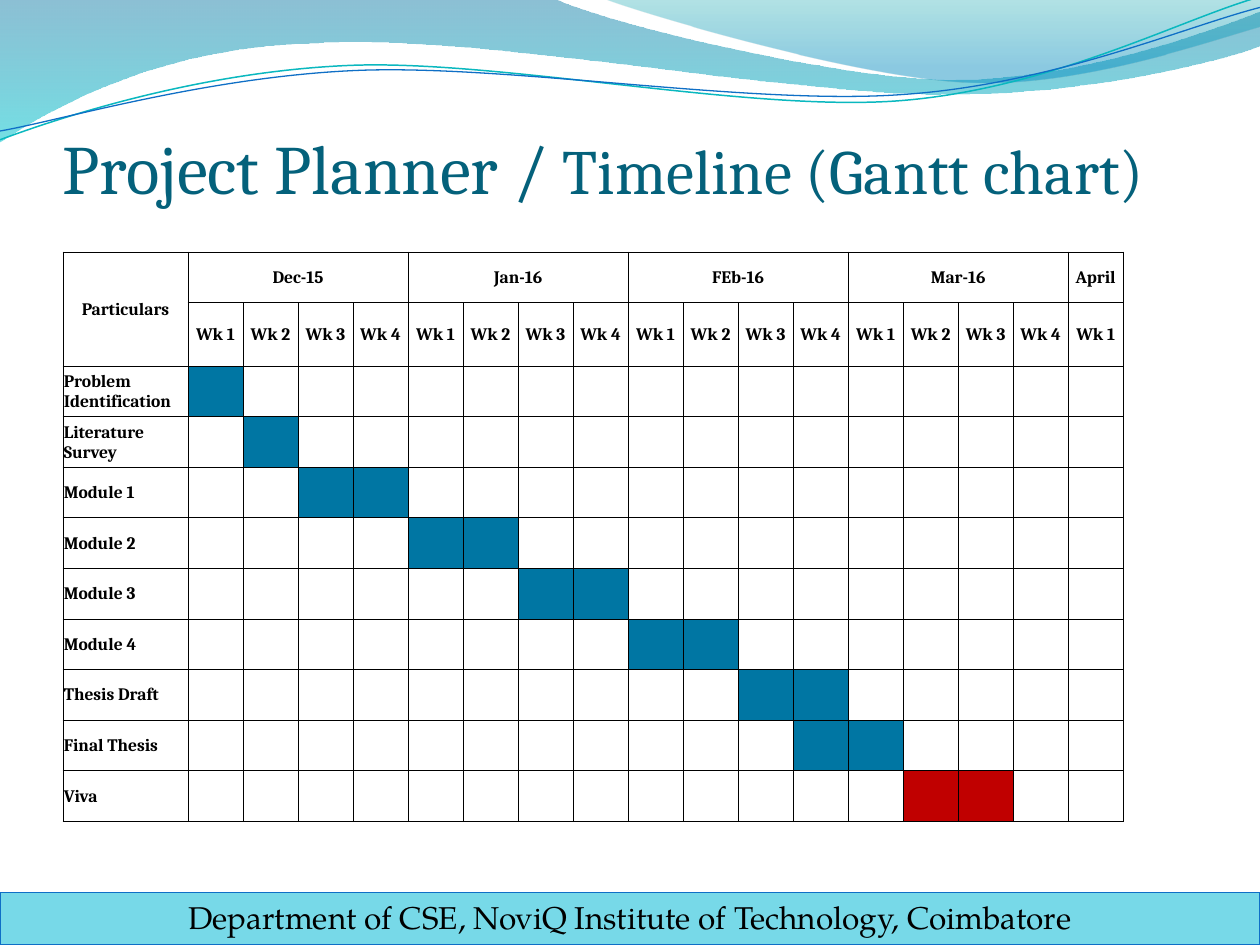
import math
import pptx
import pptx.util
import pptx.dml.color
import pptx.enum.shapes
import pptx.enum.text
import pptx.oxml
import pptx.oxml.ns
from dataclasses import dataclass

Pt = pptx.util.Pt
qn = pptx.oxml.ns.qn
NS = pptx.oxml.ns.nsdecls("a")
Align = pptx.enum.text.PP_ALIGN
Anchor = pptx.enum.text.MSO_ANCHOR


@dataclass(frozen=True)
class Theme:
    heading: str = "Cambria"
    body: str = "TeX Gyre Pagella"
    title: str = "04617B"
    ink: str = "000000"
    blue: str = "0F6FC6"
    teal: str = "0AB8BF"
    band: str = "77D9E8"
    task: str = "0076A3"
    viva: str = "C00000"
    title_size: float = 39.6
    subtitle_size: float = 36
    footer_size: float = 18
    cell_size: float = 10


T = Theme()


def rgb(value):
    return pptx.dml.color.RGBColor.from_string(value)


def write(tf, *texts, sizes, font, color, bold=False, align=Align.LEFT,
          anchor=Anchor.MIDDLE, margins=(0, 0, 0, 0)):
    """Write one paragraph with a run for each text and size."""
    tf.word_wrap = True
    tf.vertical_anchor = anchor
    tf.margin_left, tf.margin_top, tf.margin_right, tf.margin_bottom = map(Pt, margins)
    p = tf.paragraphs[0]
    p.alignment = align
    for text, size in zip(texts, sizes):
        r = p.add_run()
        r.text = text
        r.font.name, r.font.size, r.font.bold = font, Pt(size), bold
        r.font.color.rgb = rgb(color)


# Waves
def turn(x, y, degrees):
    """Turn a point clockwise about the origin."""
    a = math.radians(degrees)
    return x * math.cos(a) - y * math.sin(a), x * math.sin(a) + y * math.cos(a)


def add_curve(s, left, top, start, segments, close=False, tilt=0):
    """Draw lines (2 numbers) and Bezier curves (6 numbers), tilted by degrees."""
    def place(x, y):
        return tuple(Pt(v) for v in turn(left + x, top + y, -tilt))

    builder = s.shapes.build_freeform(*place(*start))
    builder.add_line_segments([place(*seg[-2:]) for seg in segments], close=close)
    sp = builder.convert_to_shape()
    x0, y0 = sp.left, sp.top
    lines = list(sp._element.iter(qn("a:lnTo")))
    for line, seg in zip(lines, segments):
        if len(seg) == 6:
            pts = "".join(f'<a:pt x="{x - x0}" y="{y - y0}"/>'
                          for x, y in (place(*seg[i:i + 2]) for i in (0, 2, 4)))
            curve = pptx.oxml.parse_xml(f"<a:cubicBezTo {NS}>{pts}</a:cubicBezTo>")
            line.getparent().replace(line, curve)
    # The shape turns about its own centre, so move that centre into place
    cx, cy = x0 + sp.width / 2, y0 + sp.height / 2
    x, y = turn(cx, cy, tilt)
    sp.left, sp.top = round(x0 + x - cx), round(y0 + y - cy)
    sp.rotation = tilt
    sp.shadow.inherit = False
    return sp


def add_wave(s, left, top, start, segments, stops):
    sp = add_curve(s, left, top, start, segments, close=True)
    sp.line.fill.background()
    sp.fill.gradient()
    sp.fill.gradient_angle = 270
    for stop, (position, color, _) in zip(sp.fill.gradient_stops, stops):
        stop.position, stop.color.rgb = position, rgb(color)
    colors = sp._element.spPr.find(qn("a:gradFill")).iter(qn("a:srgbClr"))
    for clr, (_, _, opacity) in zip(colors, stops):
        clr.append(pptx.oxml.parse_xml(f'<a:alpha {NS} val="{opacity * 1000}"/>'))


def add_ripple(s, left, top, start, segments, color, weight):
    sp = add_curve(s, left, top, start, segments, tilt=-2.7)
    sp.fill.background()
    sp.line.color.rgb, sp.line.width = rgb(color), Pt(weight)


def add_waves(s, left, top):
    add_wave(s, left, top, (0, 0), [
        (316.8, -0.7), (342.7, 12.2, 478.1, 45.4, 545.8, 45.4),
        (614.2, 45.4, 689.8, 18.7, 720, 6.5), (720.7, 25.9),
        (707.8, 31.7, 626.4, 54.7, 537.1, 54), (447.8, 54, 275, 20.2, 185, 24.5),
        (92.9, 25.9, 33.1, 59.8, -0.7, 81.4)],
        [(0, "0074A1", 45), (1, "00C6CF", 55)])
    add_wave(s, left, top, (344.9, -0.7), [
        (366.5, 7.9, 491, 44.6, 553.7, 46.8),
        (616.3, 49.7, 691.9, 23, 720, 15.1), (720, 0)],
        [(0, "00A1A9", 30), (0.8, "008BBF", 45)])
    add_ripple(s, left, top, (0, 79.9), [
        (34.6, 67, 113.8, 41, 199.4, 37.4), (284.4, 33.8, 427, 64.1, 513.4, 57.6),
        (599.8, 51.1, 675.4, 10.8, 718.6, -1.4)], T.teal, 0.85)
    add_ripple(s, left, top, (0, 74.9), [
        (33.8, 69.1, 118.1, 43.9, 203.8, 40.3), (290.2, 36.7, 429.8, 60.5, 516.2, 54),
        (601.9, 48.2, 677.5, 15.1, 720, 4.3)], T.blue, 0.75)


# Title
def add_title(s, left, top, width, height):
    sp = s.shapes.add_textbox(Pt(left), Pt(top), Pt(width), Pt(height))
    write(sp.text_frame, "Project Planner / ", "Timeline (Gantt chart)",
          sizes=(T.title_size, T.subtitle_size), font=T.heading, color=T.title,
          anchor=Anchor.BOTTOM, margins=(0, 3.6, 0, 0))


# Gantt table
MONTHS = [("Dec-15", 4), ("Jan-16", 4), ("FEb-16", 4), ("Mar-16", 4), ("April", 1)]
# Name, first week, number of weeks, colour
TASKS = [
    ("Problem Identification", 1, 1, T.task),
    ("Literature Survey", 2, 1, T.task),
    ("Module 1", 3, 2, T.task),
    ("Module 2", 5, 2, T.task),
    ("Module 3", 7, 2, T.task),
    ("Module 4", 9, 2, T.task),
    ("Thesis Draft", 11, 2, T.task),
    ("Final Thesis", 12, 2, T.task),
    ("Viva", 14, 2, T.viva),
]


def style_cell(cell, fill=None):
    cell.margin_left = cell.margin_right = cell.margin_top = Pt(0.5)
    cell.margin_bottom = 0
    cell.vertical_anchor = Anchor.MIDDLE
    if fill:
        cell.fill.solid()
        cell.fill.fore_color.rgb = rgb(fill)
    else:
        cell.fill.background()
    tcPr = cell._tc.get_or_add_tcPr()
    for i, side in enumerate("LRTB"):
        tcPr.insert(i, pptx.oxml.parse_xml(
            f'<a:ln{side} {NS} w="{Pt(0.5)}"><a:solidFill>'
            f'<a:srgbClr val="{T.ink}"/></a:solidFill></a:ln{side}>'))


def add_gantt(s, left, top, width, height, name_width=71.4, week_height=36.4):
    weeks = sum(n for _, n in MONTHS)
    rows = len(TASKS) + 2
    tbl = s.shapes.add_table(rows, weeks + 1, Pt(left), Pt(top), Pt(width), Pt(height)).table
    tbl.first_row = tbl.horz_banding = False
    for i, col in enumerate(tbl.columns):
        col.width = Pt((width - name_width) / weeks if i else name_width)
    for i, row in enumerate(tbl.rows):
        row.height = Pt(week_height if i == 1 else (height - week_height) / (rows - 1))

    def label(row, col, text, align=Align.CENTER):
        write(tbl.cell(row, col).text_frame, text, sizes=(T.cell_size,), font=T.heading,
              color=T.ink, bold=True, align=align)

    label(0, 0, "Particulars")
    col = 1
    for month, count in MONTHS:
        label(0, col, month)
        for week in range(count):
            label(1, col + week, f"Wk {week + 1}")
        if count > 1:
            tbl.cell(0, col).merge(tbl.cell(0, col + count - 1))
        col += count
    tbl.cell(0, 0).merge(tbl.cell(1, 0))
    fills = {}
    for row, (name, first, count, color) in enumerate(TASKS, 2):
        label(row, 0, name, Align.LEFT)
        fills.update({(row, first + i): color for i in range(count)})
    for row in range(rows):
        for col in range(weeks + 1):
            style_cell(tbl.cell(row, col), fills.get((row, col)))


# Footer
def add_footer(s, left, top, width, height):
    sp = s.shapes.add_shape(pptx.enum.shapes.MSO_SHAPE.RECTANGLE,
                            Pt(left), Pt(top), Pt(width), Pt(height))
    sp.shadow.inherit = False
    sp.fill.solid()
    sp.fill.fore_color.rgb = rgb(T.band)
    sp.line.color.rgb, sp.line.width = rgb(T.blue), Pt(0.75)
    write(sp.text_frame, "Department of CSE, NoviQ Institute of Technology, Coimbatore",
          sizes=(T.footer_size,), font=T.body, color=T.ink, align=Align.CENTER,
          anchor=Anchor.TOP, margins=(7.2, 3.6, 7.2, 3.6))


prs = pptx.Presentation()
prs.slide_width, prs.slide_height = Pt(720), Pt(540)
s = prs.slides.add_slide(prs.slide_layouts[6])
add_waves(s, 0, 0)
add_title(s, 36, 66.2, 648, 52.6)
add_footer(s, 0, 509.8, 720, 30.2)
add_gantt(s, 36, 144, 606.2, 325.4)
prs.save("out.pptx")
